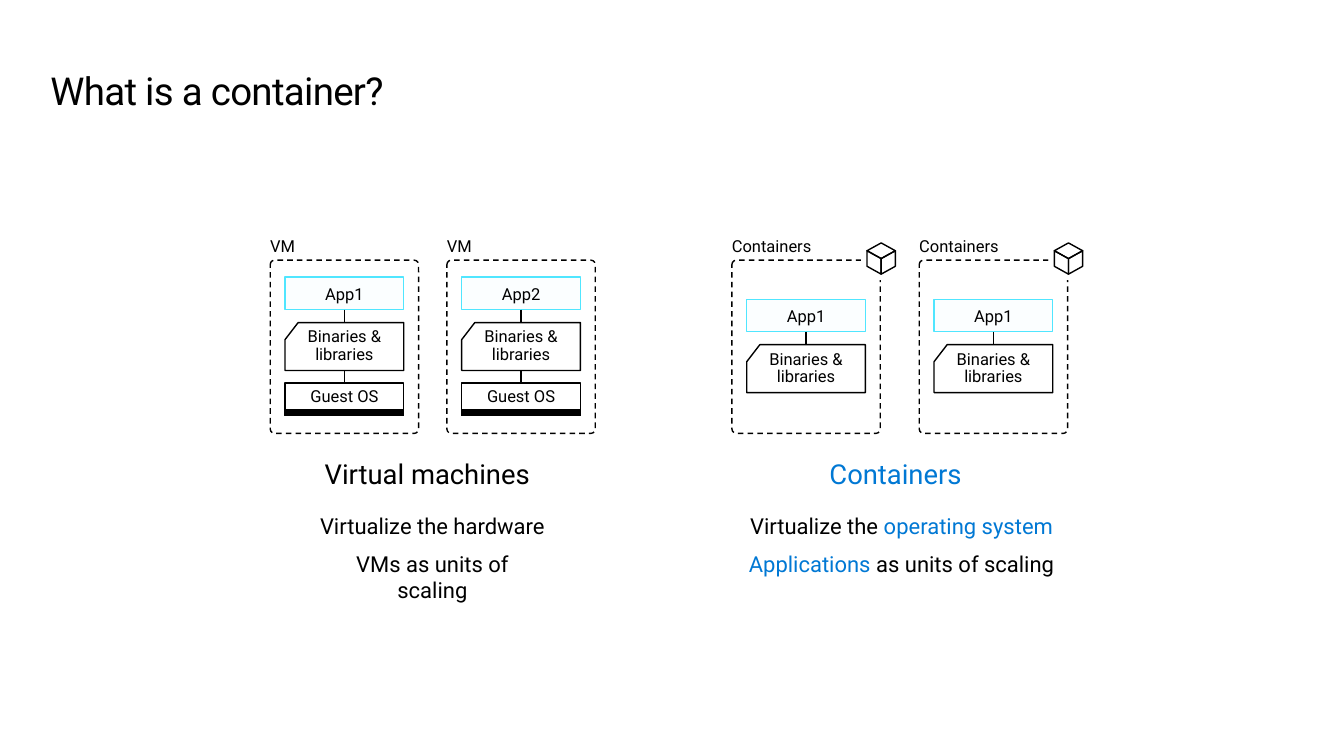
from lxml import etree
from pptx import Presentation
from pptx import util as u
from pptx.dml import color
from pptx.enum import dml, shapes, text
from pptx.oxml import ns

Pt = u.Pt
COLORS = {"ink": "000000", "paper": "FFFFFF", "cyan": "50E6FF", "blue": "0078D4"}
FRAME = {"margin_left": 0, "margin_top": 0, "margin_right": 0, "margin_bottom": 0,
         "word_wrap": True, "auto_size": text.MSO_AUTO_SIZE.NONE}
TOP, MIDDLE, BOTTOM = (text.MSO_ANCHOR.TOP, text.MSO_ANCHOR.MIDDLE, text.MSO_ANCHOR.BOTTOM)
LEFT, CENTER = text.PP_ALIGN.LEFT, text.PP_ALIGN.CENTER

PANEL_TOP, PANEL_WIDTH, PANEL_HEIGHT = 185.8, 106, 123.8
STACK_INSET, BOX_WIDTH, BOX_HEIGHT = 10.6, 84.8, 23.2


def rgb(name):
    return color.RGBColor.from_string(COLORS[name])


def set_all(target, values):
    for name, value in values.items():
        setattr(target, name, value)


def place(shape, left, top, width, height):
    set_all(shape, {"left": Pt(left), "top": Pt(top), "width": Pt(width), "height": Pt(height)})


def write(shape, paragraphs, size, align=CENTER, anchor=TOP, spacing=1.0, gap=0):
    frame = shape.text_frame
    set_all(frame, {**FRAME, "vertical_anchor": anchor})
    for index, runs in enumerate(paragraphs):
        paragraph = frame.add_paragraph() if index else frame.paragraphs[0]
        properties = paragraph._p.get_or_add_pPr()
        properties.set("marL", "0")
        properties.set("indent", "0")
        etree.SubElement(properties, ns.qn("a:buNone"))
        set_all(paragraph, {"alignment": align, "line_spacing": spacing,
                            "space_before": Pt(gap if index else 0), "space_after": Pt(0)})
        for words, tint in runs:
            run = paragraph.add_run()
            run.text = words
            set_all(run.font, {"name": "Roboto", "size": Pt(size), "bold": False})
            run.font.color.rgb = rgb(tint)


def paint(shape, fill=None, line=None):
    shape.shadow.inherit = False
    if fill:
        shape.fill.solid()
        shape.fill.fore_color.rgb = rgb(fill)
    else:
        shape.fill.background()
    if line:
        shape.line.color.rgb = rgb(line)
        shape.line.width = Pt(1)
    else:
        shape.line.fill.background()
    return shape


def add_box(group, kind, bounds, fill=None, line=None):
    return paint(group.shapes.add_shape(kind, *map(Pt, bounds)), fill, line)


def add_outline(group, left, top, contours, fill=None):
    def points(contour):
        return [(Pt(left + x), Pt(top + y)) for x, y in contour]

    first, *others = map(points, contours)
    builder = group.shapes.build_freeform(*first[0], scale=1.0)
    builder.add_line_segments(first[1:], close=True)
    for contour in others:
        builder.move_to(*contour[0])
        builder.add_line_segments(contour[1:], close=True)
    return paint(builder.convert_to_shape(), fill, "ink")


def add_app(group, left, top, name):
    app = add_box(group, shapes.MSO_SHAPE.RECTANGLE, (left, top, BOX_WIDTH, BOX_HEIGHT), "cyan", "cyan")
    tint = app.fill._xPr.find(".//" + ns.qn("a:srgbClr"))
    etree.SubElement(tint, ns.qn("a:alpha"), val="2000")
    write(app, [[(name, "ink")]], 11.8, anchor=MIDDLE)
    return app


def add_guest_os(group, left, top):
    guest = add_box(group, shapes.MSO_SHAPE.RECTANGLE, (left, top, BOX_WIDTH, BOX_HEIGHT), line="ink")
    write(guest, [[("Guest OS", "ink")]], 11.8, anchor=MIDDLE, spacing=0.9)
    guest.text_frame.margin_bottom = Pt(2.6)
    add_box(group, shapes.MSO_SHAPE.RECTANGLE, (left, top + 19.4, BOX_WIDTH, 3.8), "ink", "ink")
    return guest


def add_link(group, app, guest, length):
    x, y = app.left + app.width // 2, app.top + app.height
    link = group.shapes.add_connector(shapes.MSO_CONNECTOR.STRAIGHT, x, y, x, y + Pt(length))
    link.begin_connect(app, 2)
    if guest:
        link.end_connect(guest, 0)
    link.line.color.rgb = rgb("ink")
    link.line.width = Pt(1)
    etree.SubElement(link._element.spPr, ns.qn("a:effectLst"))


def add_binaries(group, left, top):
    outline = [(0, 12.2), (9.4, 0), (BOX_WIDTH, 0), (BOX_WIDTH, 34.2), (0, 34.2)]
    binaries = add_outline(group, left, top, [outline], "paper")
    write(binaries, [[("Binaries & libraries", "ink")]], 11.8, anchor=MIDDLE, spacing=0.9)
    set_all(binaries.text_frame, {"margin_left": Pt(5), "margin_right": Pt(5)})


def add_cube(group, left, top):
    add_box(group, shapes.MSO_SHAPE.OVAL, (left - 4.3, top - 2.9, 29.5, 29.5), "paper")
    middle, right = 10.1, 20.2
    add_outline(group, left, top, [
        [(right, 5.6), (right, 16.7), (middle, 22.3), (middle, 11.2)],
        [(0, 5.6), (middle, 11.2), (middle, 22.3), (0, 16.7)],
        [(middle, 0), (right, 5.6), (middle, 11.2), (0, 5.6)]])


def add_panel(group, left, label, app_name, is_machine):
    stack_left = left + STACK_INSET
    app_top = 198 if is_machine else 213.8
    app = add_app(group, stack_left, app_top, app_name)
    guest = add_guest_os(group, stack_left, app_top + 75.6) if is_machine else None
    add_link(group, app, guest, 37.4)
    add_binaries(group, stack_left, app_top + 32.4)
    panel = add_box(group, shapes.MSO_SHAPE.ROUNDED_RECTANGLE,
                    (left, PANEL_TOP, PANEL_WIDTH, PANEL_HEIGHT), line="ink")
    panel.adjustments[0] = 0.03
    panel.line.dash_style = dml.MSO_LINE.DASH
    caption = group.shapes.add_textbox(Pt(left), Pt(168.5), Pt(70.5), Pt(14.4))
    write(caption, [[(label, "ink")]], 11.8, align=LEFT, anchor=BOTTOM)
    if not is_machine:
        add_cube(group, left + 96.5, 173.5)


def add_column(slide, first_index, heading, heading_bounds, tint, lines, list_bounds):
    title, body = (slide.placeholders[first_index + step] for step in (0, 1))
    place(title, *heading_bounds)
    write(title, [[(heading, tint)]], 19.6, spacing=0.9)
    place(body, *list_bounds)
    write(body, lines, 15.7, gap=8.4)
    return body


def main():
    presentation = Presentation()
    set_all(presentation, {"slide_width": Pt(960), "slide_height": Pt(540)})
    slide = presentation.slides.add_slide(presentation.slide_layouts[4])

    title = slide.shapes.title
    place(title, 36, 47.5, 273, 33)
    write(title, [[("What is a container?", "ink")]], 27.5, align=LEFT)
    title.text_frame.paragraphs[0].runs[0].font._element.set("spc", "-50")

    machines = slide.shapes.add_group_shape()
    for left, app_name in ((193, "App1"), (319.2, "App2")):
        add_panel(machines, left, "VM", app_name, True)
    containers = slide.shapes.add_group_shape()
    for left in (522.8, 656.6):
        add_panel(containers, left, "Containers", "App1", False)

    machine_list = add_column(
        slide, 1, "Virtual machines", (226, 329, 158.4, 25.9), "ink",
        [[("Virtualize the hardware", "ink")], [("VMs as units of scaling", "ink")]],
        (226.8, 365.8, 164.2, 64))
    scaling = machine_list.text_frame.paragraphs[1]._p.get_or_add_pPr()
    for side in ("marL", "marR"):
        scaling.set(side, str(Pt(4)))
    add_column(
        slide, 3, "Containers", (577.4, 329, 124.6, 21.6), "blue",
        [[("Virtualize the ", "ink"), ("operating system", "blue")],
         [("Applications", "blue"), (" as units of scaling", "ink")]],
        (530.5, 365.8, 227, 45.4))

    presentation.save("out.pptx")


if __name__ == "__main__":
    main()
